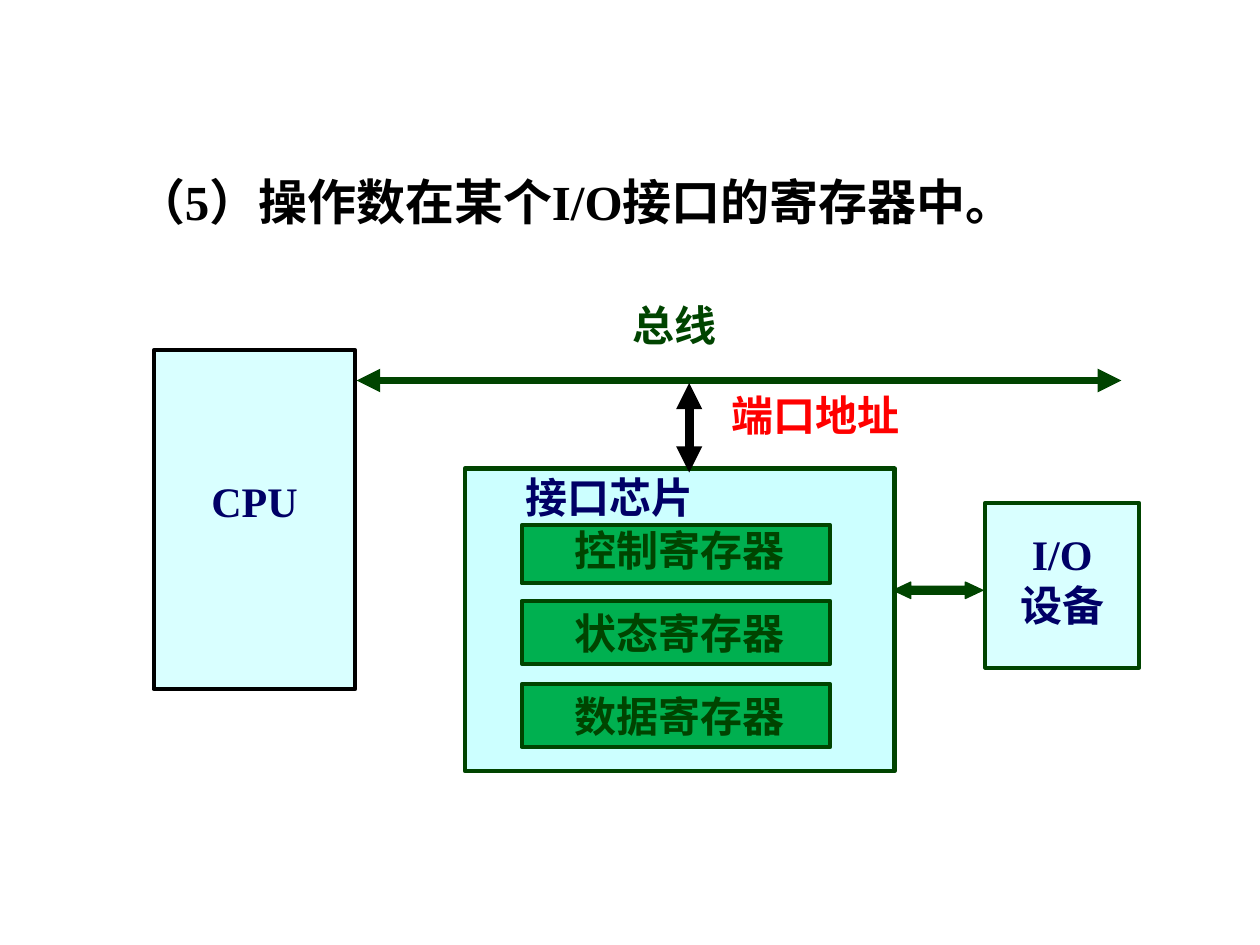
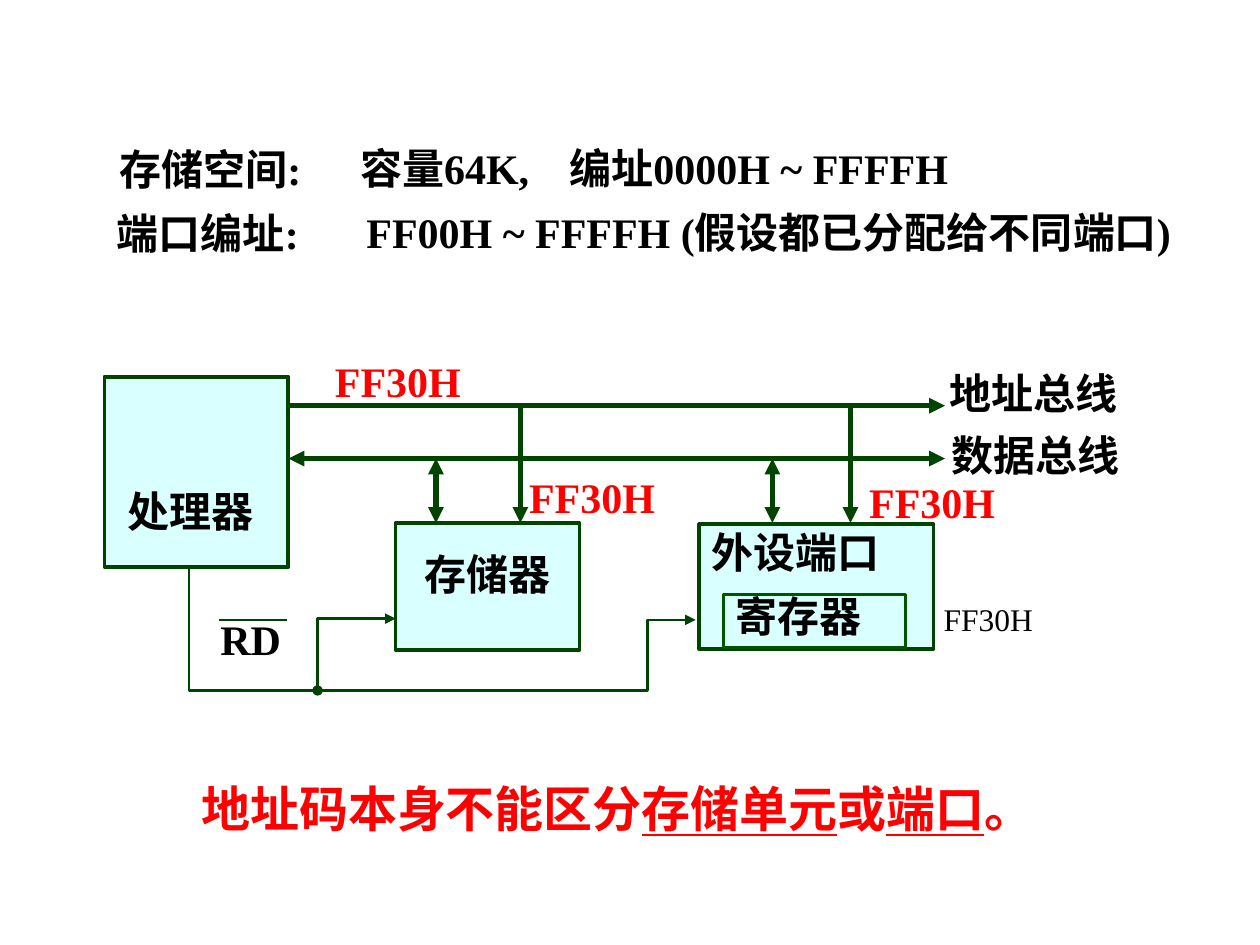
from dataclasses import dataclass

from lxml import etree
from pptx import Presentation
from pptx.dml.color import RGBColor
from pptx.enum.shapes import MSO_CONNECTOR, MSO_SHAPE
from pptx.enum.text import MSO_ANCHOR, MSO_AUTO_SIZE, PP_ALIGN
from pptx.oxml.ns import qn
from pptx.util import Inches, Pt

RECTANGLE = MSO_SHAPE.RECTANGLE
DOUBLE_ARROW = MSO_SHAPE.LEFT_RIGHT_ARROW
STRAIGHT = MSO_CONNECTOR.STRAIGHT
TOP, MIDDLE = MSO_ANCHOR.TOP, MSO_ANCHOR.MIDDLE
LEFT, CENTER = PP_ALIGN.LEFT, PP_ALIGN.CENTER
GROW, FIXED = MSO_AUTO_SIZE.SHAPE_TO_FIT_TEXT, MSO_AUTO_SIZE.NONE
TITLE_ONLY, BLANK = 5, 6


@dataclass(frozen=True)
class Theme:
    latin: str = "Times New Roman"
    east_asian: str = "Noto Sans CJK SC"
    black: str = "000000"
    green: str = "004400"
    inner_green: str = "005600"
    navy: str = "000066"
    red: str = "FF0000"
    pale_blue: str = "D9FFFF"
    chip_blue: str = "CCFFFF"
    register_green: str = "00B050"
    small: int = 18
    body: int = 24
    large: int = 28


THEME = Theme()


# Shared formatting
def apply(target, values):
    for name, value in values.items():
        setattr(target, name, value)


def write_runs(paragraph, runs, color, size, bold=True):
    """Write (text, underlined) pairs into a paragraph."""
    for text, underlined in runs:
        run = paragraph.add_run()
        run.text = text
        apply(run.font, {"name": THEME.latin, "size": Pt(size), "bold": bold})
        if underlined:
            run.font.underline = True
        run.font.color.rgb = RGBColor.from_string(color)
        east_asian = etree.Element(qn("a:ea"), typeface=THEME.east_asian)
        run.font._element.find(qn("a:latin")).addnext(east_asian)


def style_line(shape, color, width, head=None, tail=None):
    shape.line.color.rgb = RGBColor.from_string(color)
    shape.line.width = Pt(width)
    outline = shape.line._get_or_add_ln()
    for tag, kind in (("a:headEnd", head), ("a:tailEnd", tail)):
        if kind:
            etree.SubElement(outline, qn(tag), type=kind)


def place(shape, left, top, width, height):
    apply(shape, {"left": Inches(left), "top": Inches(top),
                  "width": Inches(width), "height": Inches(height)})


# Element kinds
def fill_label(shape, runs, color, size, bold=True):
    frame = shape.text_frame
    apply(frame, {"word_wrap": True, "auto_size": GROW, "vertical_anchor": TOP})
    paragraph = frame.paragraphs[0]
    paragraph.alignment = LEFT
    write_runs(paragraph, runs, color, size, bold)


def add_label(slide, text, left, top, width, color=THEME.black,
              size=THEME.body, bold=True):
    """Add a text box; text is a string or a list of (text, underlined)."""
    height = {THEME.small: 0.4, THEME.body: 0.5, THEME.large: 0.57}[size]
    box = slide.shapes.add_textbox(Inches(left), Inches(top),
                                   Inches(width), Inches(height))
    runs = [(text, False)] if isinstance(text, str) else text
    fill_label(box, runs, color, size, bold)


def add_title(slide, text, left, top, width, height):
    place(slide.shapes.title, left, top, width, height)
    fill_label(slide.shapes.title, [(text, False)], THEME.black, THEME.large)


def add_block(slide, bounds, lines, fill=THEME.pale_blue, line=THEME.green,
              width=2.25, color=THEME.black, align=LEFT, indent=0.1, lift=0):
    """Add a labelled rectangle; lift raises its text above the middle."""
    block = slide.shapes.add_shape(RECTANGLE, *map(Inches, bounds))
    block.shadow.inherit = False
    if fill:
        block.fill.solid()
        block.fill.fore_color.rgb = RGBColor.from_string(fill)
    else:
        block.fill.background()
    style_line(block, line, width)
    frame = block.text_frame
    apply(frame, {"word_wrap": True, "auto_size": FIXED,
                  "vertical_anchor": MIDDLE, "margin_left": Inches(indent),
                  "margin_right": Inches(0.1),
                  "margin_top": Inches(max(0, -2 * lift)),
                  "margin_bottom": Inches(max(0, 2 * lift))})
    for index, text in enumerate(lines):
        paragraph = frame.add_paragraph() if index else frame.paragraphs[0]
        paragraph.alignment = align
        write_runs(paragraph, [(text, False)], color, THEME.body)


def add_line(slide, start, end, width=3, color=THEME.green,
             head=None, tail="triangle"):
    connector = slide.shapes.add_connector(
        STRAIGHT, *map(Inches, (*start, *end)))
    style_line(connector, color, width, head, tail)
    etree.SubElement(connector._element.spPr, qn("a:effectLst"))


def add_signal(slide, points, head=None):
    """Add an angled signal path that ends in an arrowhead."""
    corners = [(Inches(x), Inches(y)) for x, y in points]
    builder = slide.shapes.build_freeform(*corners[0])
    builder.add_line_segments(corners[1:], close=False)
    signal = builder.convert_to_shape()
    signal.shadow.inherit = False
    signal.fill.background()
    style_line(signal, THEME.green, 1.5, head, "triangle")


def add_double_arrow(slide, left, top, width, height):
    arrow = slide.shapes.add_shape(
        DOUBLE_ARROW, *map(Inches, (left, top, width, height)))
    arrow.shadow.inherit = False
    arrow.adjustments[1] = 1.065
    arrow.fill.solid()
    arrow.fill.fore_color.rgb = RGBColor.from_string(THEME.green)
    style_line(arrow, THEME.green, 0.75)


# Slides
def build_interface_slide(presentation):
    slide = presentation.slides.add_slide(presentation.slide_layouts[TITLE_ONLY])
    add_title(slide, "（5）操作数在某个I/O接口的寄存器中。", 0.98, 1.31, 7.6, 0.57)

    # Processor, interface chip and device
    add_block(slide, (1.22, 2.78, 1.6, 2.69), ["CPU"], line=THEME.black,
              color=THEME.navy, align=CENTER, lift=0.15)
    add_block(slide, (7.82, 3.99, 1.22, 1.31), ["I/O", "设备"],
              color=THEME.navy, align=CENTER, lift=0.05)
    add_block(slide, (3.69, 3.72, 3.41, 2.4), ["接口芯片"],
              fill=THEME.chip_blue, width=2.5, color=THEME.navy,
              indent=0.48, lift=0.98)

    # Registers inside the chip
    registers = (("控制寄存器", 4.17, 0.04), ("状态寄存器", 4.77, 0),
                 ("数据寄存器", 5.43, 0))
    for name, top, lift in registers:
        add_block(slide, (4.14, top, 2.45, 0.5 - lift), [name],
                  fill=THEME.register_green, color=THEME.green,
                  align=CENTER, indent=0.16, lift=lift)

    # Bus and links
    add_line(slide, (2.83, 3.02), (8.9, 3.02), 4.5, head="triangle")
    add_line(slide, (5.47, 3.04), (5.47, 3.75), 5, THEME.black, "triangle")
    add_double_arrow(slide, 7.09, 4.62, 0.71, 0.13)
    add_label(slide, "总线", 4.92, 2.33, 1.7, THEME.green)
    add_label(slide, "端口地址", 5.71, 3.04, 1.56, THEME.red)


def build_address_slide(presentation):
    slide = presentation.slides.add_slide(presentation.slide_layouts[BLANK])

    # Address ranges
    add_label(slide, "存储空间:", 0.85, 1.09, 1.9)
    add_label(slide, "容量64K,", 2.76, 1.08, 1.7)
    add_label(slide, "编址0000H ~ FFFFH", 4.42, 1.08, 5)
    add_label(slide, "端口编址:", 0.83, 1.6, 1.9)
    add_label(slide, "FF00H ~ FFFFH (假设都已分配给不同端口)", 2.81, 1.59, 6.9)

    # Processor, memory and peripheral port
    add_block(slide, (0.83, 2.99, 1.46, 1.51), ["处理器"],
              indent=0.18, lift=-0.31)
    add_block(slide, (3.14, 4.15, 1.46, 1.01), ["存储器"],
              width=2, indent=0.23, lift=0.1)
    add_block(slide, (5.55, 4.16, 1.86, 0.99), ["外设端口"],
              width=2, lift=0.28)
    add_block(slide, (5.74, 4.72, 1.45, 0.42), ["寄存器"], fill=None,
              line=THEME.inner_green, width=1.75, lift=0.04)

    # Address bus and data bus with their branches
    address_y, data_y, device_y = 3.22, 3.64, 4.15
    add_line(slide, (2.29, address_y), (7.5, address_y))
    add_line(slide, (2.29, data_y), (7.5, data_y), head="triangle")
    for address_x, data_x in ((4.13, 3.46), (6.75, 6.13)):
        add_line(slide, (address_x, address_y), (address_x, device_y))
        add_line(slide, (data_x, data_y), (data_x, device_y), head="triangle")
    add_label(slide, "地址总线", 7.44, 2.87, 1.97)
    add_label(slide, "数据总线", 7.45, 3.36, 1.97)

    # Read signal, active low
    add_label(slide, "RD", 1.65, 4.82, 0.98)
    add_line(slide, (1.74, 4.92), (2.28, 4.92), 1.5, tail=None)
    add_signal(slide, [(2.52, 5.48), (2.52, 4.91), (3.14, 4.91)], head="oval")
    add_signal(slide, [(1.5, 4.5), (1.5, 5.48), (5.14, 5.48),
                       (5.14, 4.92), (5.52, 4.92)])

    # The same address code at each place
    for left, top in ((2.56, 2.77), (4.1, 3.69), (6.8, 3.73)):
        add_label(slide, "FF30H", left, top, 1.25, THEME.red)
    add_label(slide, "FF30H", 7.39, 4.71, 1, size=THEME.small, bold=False)

    # Conclusion
    add_label(slide, [("地址码本身不能区分", False), ("存储单元", True),
                      ("或", False), ("端口", True), ("。", False)],
              1.5, 6.13, 7.36, THEME.red, THEME.large)


def main():
    presentation = Presentation()
    presentation.slide_width = Inches(10)
    presentation.slide_height = Inches(7.5)
    build_interface_slide(presentation)
    build_address_slide(presentation)
    presentation.save("out.pptx")


if __name__ == "__main__":
    main()
